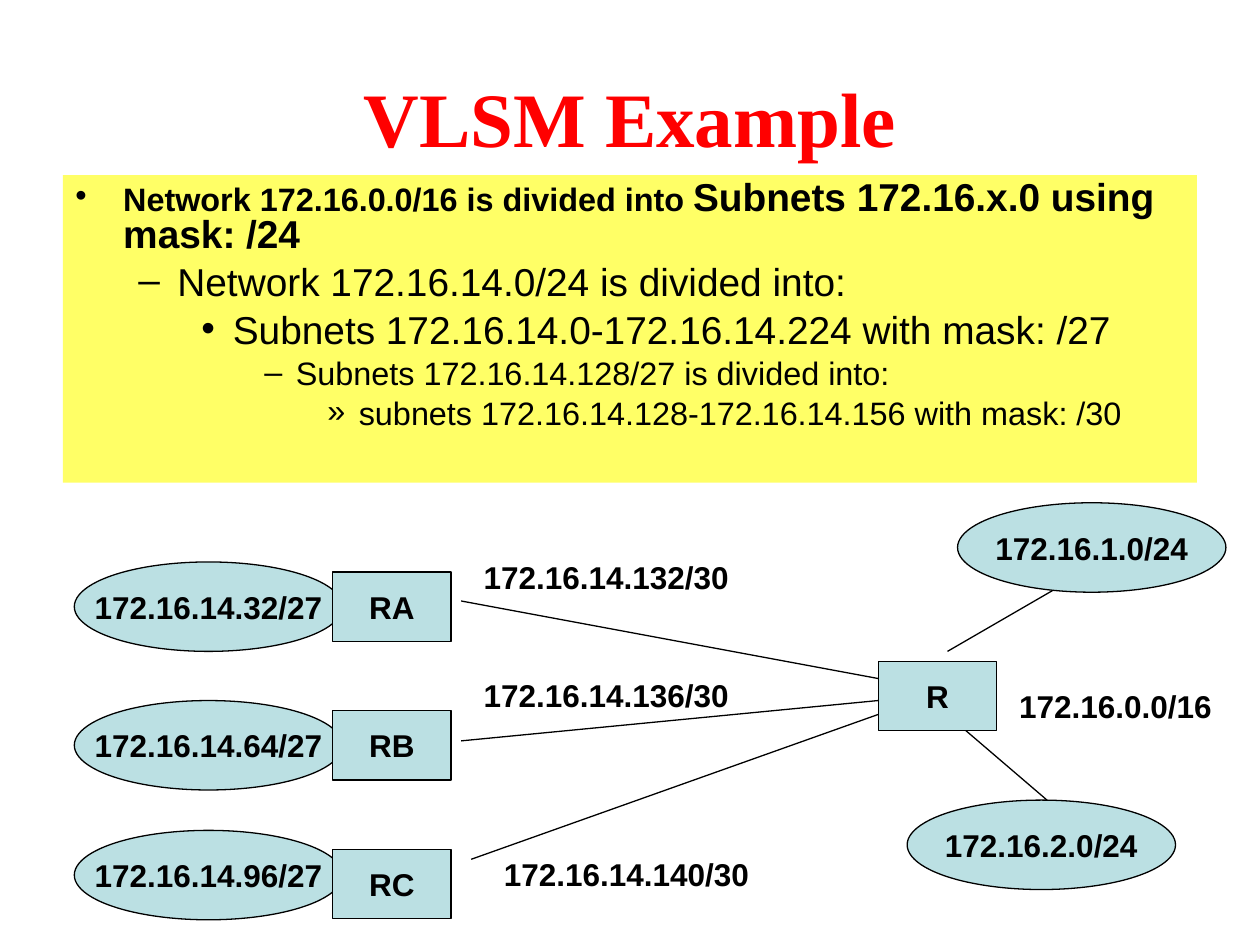
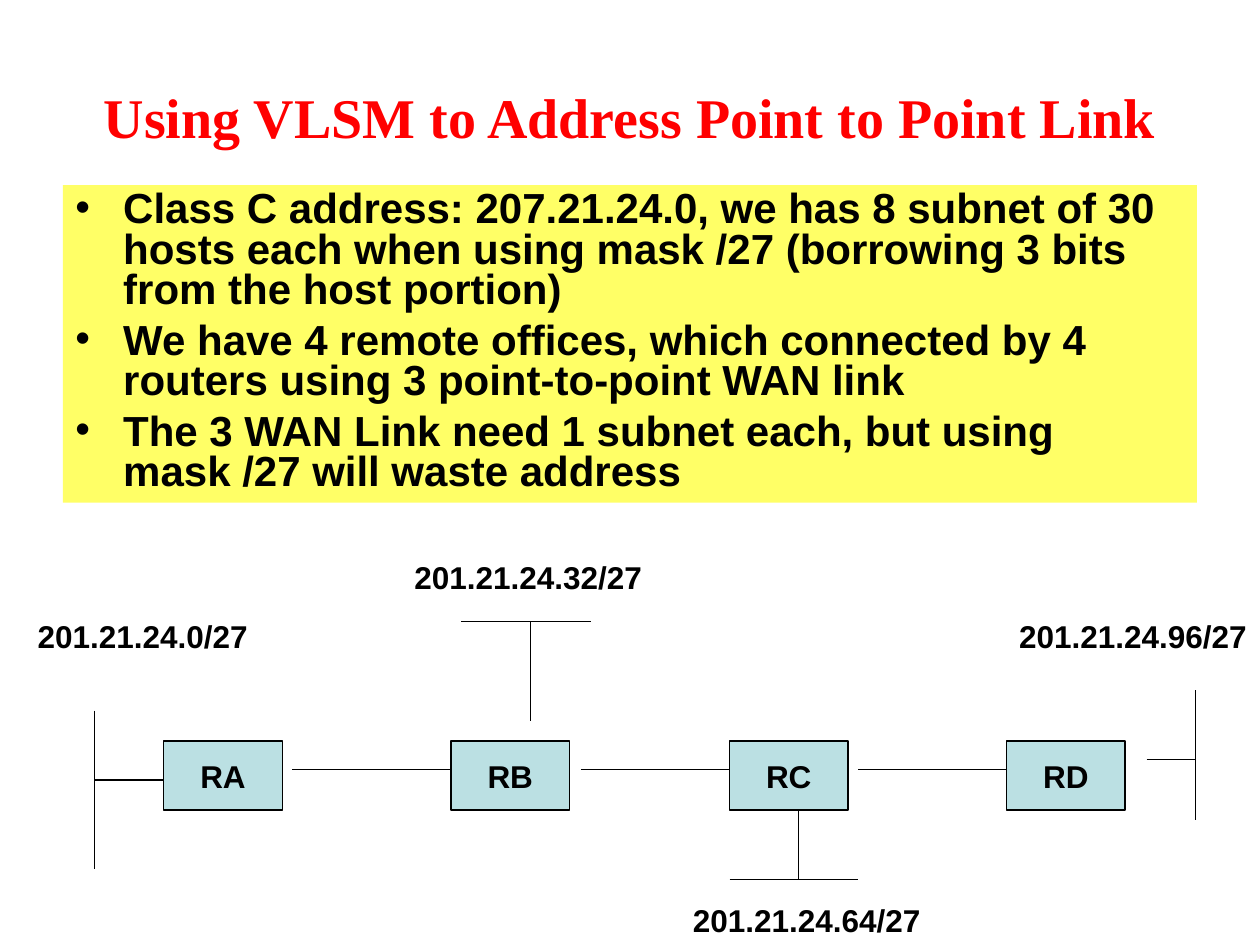
from lxml.etree import SubElement
from pptx import Presentation
from pptx.dml.color import RGBColor
from pptx.enum.shapes import MSO_CONNECTOR as Connector, MSO_SHAPE as Shape
from pptx.enum.text import MSO_ANCHOR as Anchor, MSO_AUTO_SIZE as Fit, PP_ALIGN as Align
from pptx.oxml.ns import qn
from pptx.util import Pt

PX = 9144
COLORS = {"title": "FF0000", "panel": "FFFF66", "node": "BBE0E3", "ink": "000000"}
FONTS = {"title": "Times New Roman", "body": "Arial"}
LEVELS = [(38, -38, "•"), (81, -31, "–"), (125, -25, "•"), (175, -25, "–"), (225, -25, "»")]
ROUTER = (94, 55)
NETWORK = (213, 71)


def color(name):
    return RGBColor.from_string(COLORS[name])


class SlideWriter:
    def __init__(self, deck):
        self.deck = deck
        self.page = None

    def new_page(self, title, size):
        self.page = self.deck.slides.add_slide(self.deck.slide_layouts[6])
        box = self.text_box(50, 30, 900, 125)
        frame = box.text_frame
        frame.word_wrap = True
        frame.vertical_anchor = Anchor.MIDDLE
        frame.text = title
        frame.paragraphs[0].alignment = Align.CENTER
        self.style(frame.paragraphs[0].runs[0], size, ink="title", font="title")

    def text_box(self, *area):
        return self.page.shapes.add_textbox(*(value * PX for value in area))

    def style(self, span, size=18, bold=True, ink="ink", font="body"):
        span.font.size = Pt(size)
        span.font.bold = bold
        span.font.name = FONTS[font]
        span.font.color.rgb = color(ink)

    def panel(self, top, height, items):
        box = self.text_box(50, top, 900, height)
        box.fill.solid()
        box.fill.fore_color.rgb = color("panel")
        frame = box.text_frame
        frame.word_wrap = True
        frame.margin_right = 24 * PX
        for index, (level, before, spans) in enumerate(items):
            para = frame.add_paragraph() if index else frame.paragraphs[0]
            self.bullet(para, level)
            para.line_spacing = 0.8
            para.space_before = Pt(before if index else 0)
            for text, size, bold in spans:
                span = para.add_run()
                span.text = text
                self.style(span, size, bold)

    def bullet(self, para, level):
        margin, indent, mark = LEVELS[level]
        para.level = level
        props = para._p.get_or_add_pPr()
        props.set("marL", str(margin * PX))
        props.set("indent", str(indent * PX))
        SubElement(SubElement(props, qn("a:buClr")), qn("a:srgbClr")).set("val", COLORS["ink"])
        SubElement(props, qn("a:buFont")).set("typeface", FONTS["body"])
        SubElement(props, qn("a:buChar")).set("char", mark)

    def node(self, kind, text, left, top, size):
        box = self.page.shapes.add_shape(kind, *(value * PX for value in (left, top, *size)))
        box.shadow.inherit = False
        box.fill.solid()
        box.fill.fore_color.rgb = color("node")
        box.line.color.rgb = color("ink")
        box.line.width = Pt(0.75)
        frame = box.text_frame
        frame.word_wrap = False
        frame.vertical_anchor = Anchor.MIDDLE
        frame.text = text
        frame.paragraphs[0].alignment = Align.CENTER
        self.style(frame.paragraphs[0].runs[0])

    def router(self, text, left, top):
        self.node(Shape.RECTANGLE, text, left, top, ROUTER)

    def network(self, text, left, top):
        self.node(Shape.OVAL, text, left, top, NETWORK)

    def label(self, text, left, top, width):
        frame = self.text_box(left, top, width, 40).text_frame
        frame.word_wrap = False
        frame.auto_size = Fit.SHAPE_TO_FIT_TEXT
        frame.margin_right = 0
        frame.text = text
        self.style(frame.paragraphs[0].runs[0])

    def line(self, *ends):
        link = self.page.shapes.add_connector(Connector.STRAIGHT, *(value * PX for value in ends))
        link.line.color.rgb = color("ink")
        link.line.width = Pt(0.75)
        SubElement(link._element.spPr, qn("a:effectLst"))


def add_example(writer):
    writer.new_page("VLSM Example", 44)
    writer.panel(139, 244, [
        (0, 6, [("Network 172.16.0.0/16 is divided into ", 18.5, True),
                ("Subnets 172.16.x.0 using mask: /24", 22.2, True)]),
        (1, 6, [("Network 172.16.14.0/24 is divided into:", 22.2, False)]),
        (2, 6, [("Subnets 172.16.14.0-172.16.14.224 with mask: /27", 22.2, False)]),
        (3, 5, [("Subnets 172.16.14.128/27 is divided into:", 18.5, False)]),
        (4, 5, [("subnets 172.16.14.128-172.16.14.156 with mask: /30", 18.5, False)]),
    ])
    for ends in [(752, 517, 847, 462), (720, 540, 831, 635), (366, 477, 705, 540),
                 (366, 588, 697, 556), (374, 682, 728, 556)]:
        writer.line(*ends)
    for text, left, top in [("172.16.14.32/27", 59, 446), ("172.16.14.64/27", 59, 556),
                            ("172.16.14.96/27", 59, 659), ("172.16.1.0/24", 760, 399),
                            ("172.16.2.0/24", 720, 635)]:
        writer.network(text, left, top)
    for index, name in enumerate(["RA", "RB", "RC"]):
        writer.router(name, 264, 454 + 110 * index)
    writer.router("R", 697, 525)
    for text, left, top, width in [("172.16.14.132/30", 374, 438, 214),
                                   ("172.16.14.136/30", 374, 532, 214),
                                   ("172.16.14.140/30", 390, 674, 214),
                                   ("172.16.0.0/16", 799, 540, 173)]:
        writer.label(text, left, top, width)


def add_point_to_point(writer):
    writer.new_page("Using VLSM to Address Point to Point Link", 32)
    points = [
        "Class C address: 207.21.24.0, we has 8 subnet of 30 hosts each when using mask /27 "
        "(borrowing 3 bits from the host portion)",
        "We have 4 remote offices, which connected by 4 routers using 3 point-to-point WAN link",
        "The 3 WAN Link need 1 subnet each, but using mask /27 will waste address",
    ]
    writer.panel(147, 252, [(0, 6, [(text, 24, True)]) for text in points])
    wan_links = [(left, 611, right, 611) for left, right in [(232, 366), (461, 602), (681, 815)]]
    office_lans = [(75, 564, 75, 690), (75, 619, 138, 619), (910, 603, 949, 603),
                   (949, 548, 949, 651), (366, 493, 469, 493), (421, 493, 421, 572),
                   (579, 698, 681, 698), (634, 627, 634, 698)]
    for ends in wan_links + office_lans:
        writer.line(*ends)
    for name, left in [("RA", 130), ("RB", 358), ("RC", 579), ("RD", 799)]:
        writer.router(name, left, 588)
    for text, left, top, width in [("201.21.24.32/27", 319, 438, 200),
                                   ("201.21.24.0/27", 20, 485, 187),
                                   ("201.21.24.64/27", 540, 710, 200),
                                   ("201.21.24.96/27", 799, 485, 200)]:
        writer.label(text, left, top, width)


def main():
    deck = Presentation()
    deck.slide_width = 1000 * PX
    deck.slide_height = 750 * PX
    writer = SlideWriter(deck)
    add_example(writer)
    add_point_to_point(writer)
    deck.save("out.pptx")


if __name__ == "__main__":
    main()
